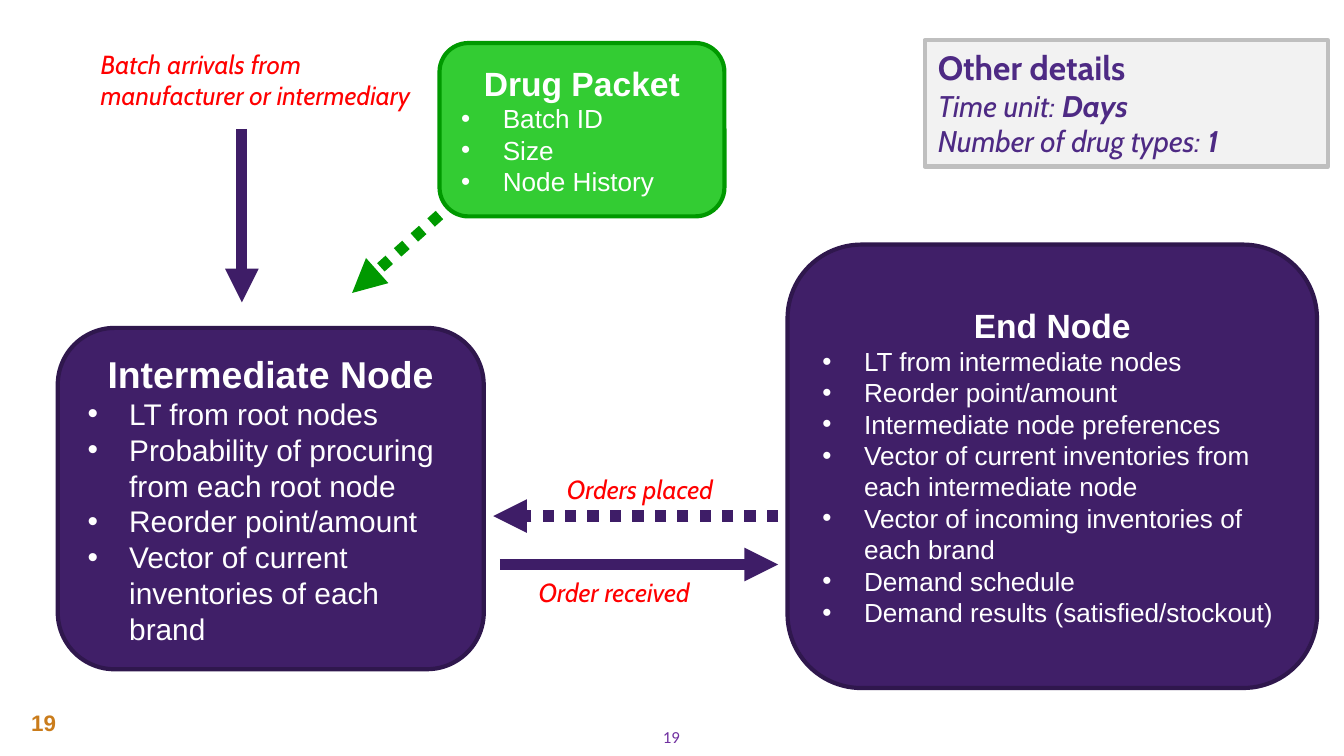
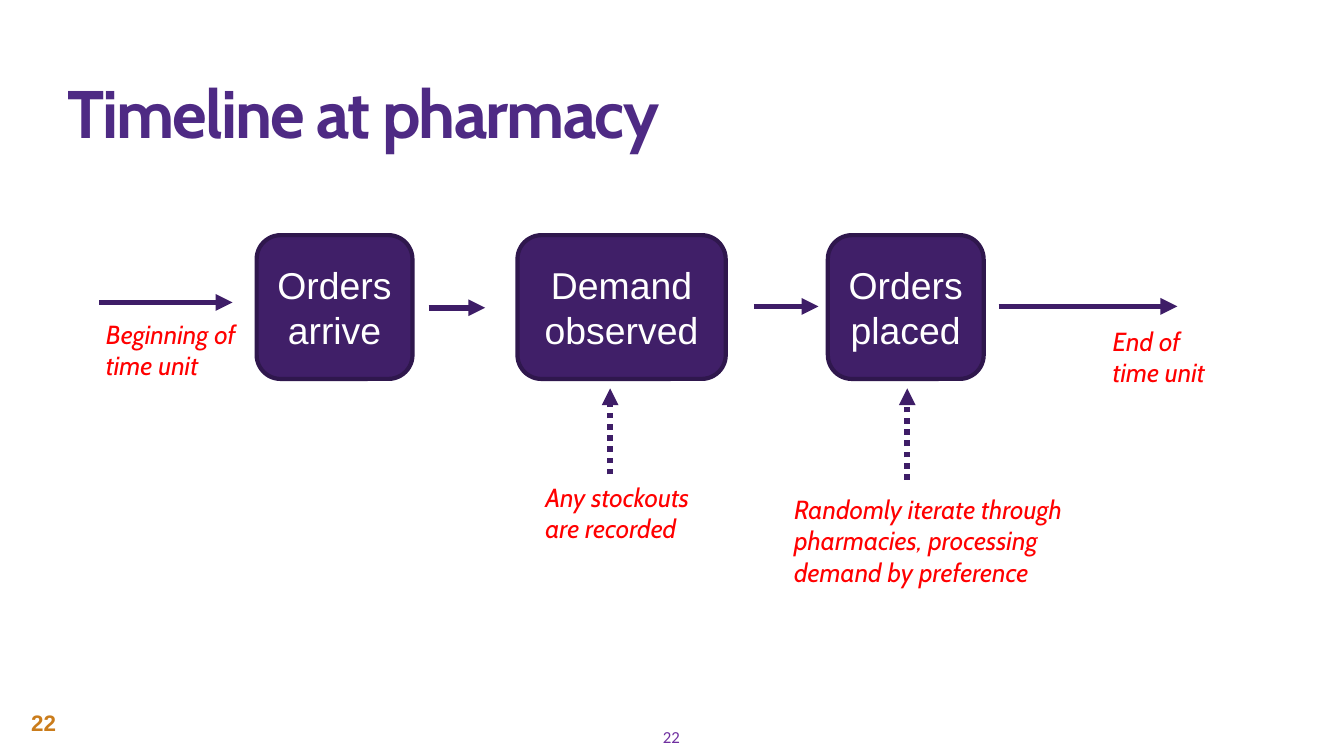
from dataclasses import dataclass

from lxml.etree import SubElement
from pptx import Presentation
from pptx.dml.color import RGBColor
from pptx.enum.dml import MSO_LINE
from pptx.enum.shapes import MSO_CONNECTOR, MSO_SHAPE
from pptx.enum.text import MSO_ANCHOR, PP_ALIGN
from pptx.oxml.ns import qn
from pptx.util import Inches, Pt


@dataclass(frozen=True)
class Theme:
    node: str = "401F68"
    node_border: str = "2F174D"
    arrow: str = "3E1D67"
    packet: str = "33CC33"
    packet_border: str = "009900"
    note: str = "FF0000"
    heading: str = "4E2A84"
    panel: str = "F2F2F2"
    panel_border: str = "BFBFBF"
    footer: str = "7030A0"
    page_badge: str = "CA7C1B"
    white: str = "FFFFFF"
    body_font: str = "Arial"
    accent_font: str = "Cabin"
    footer_font: str = "Calibri"
    title_size: int = 36
    large_size: int = 20
    heading_size: int = 18
    text_size: int = 16
    note_size: int = 14
    badge_size: int = 12
    footer_size: int = 9
    border_width: float = 2.25
    thick_arrow: int = 6
    thin_arrow: int = 3


@dataclass(frozen=True)
class Box:
    left: float
    top: float
    width: float
    height: float

    def inside(self, left, top, width, height):
        return Box(self.left + left, self.top + top, width, height)

    def point(self, horizontal, vertical):
        return Inches(self.left + horizontal), Inches(self.top + vertical)

    def lengths(self):
        return [Inches(value) for value in (self.left, self.top, self.width, self.height)]


THEME = Theme()
SLIDE_BOX = Box(0, 0, 10, 10 * 9 / 16)
NETWORK_BOX = Box(0.4, 0.3, 9.4, 4.82)
DETAILS_BOX = Box(6.88, 0.3, 3, 0.94)
TITLE_BOX = Box(0.5, 0.23, 9.18, 0.9)
TIMELINE_BOX = Box(0.69, 1.75, 8.5, 2.7)


def color(value):
    return RGBColor.from_string(value)


def format_run(run, size, font, ink, bold=False, italic=False):
    run.font.size = Pt(size)
    run.font.name = font
    run.font.color.rgb = color(ink)
    run.font.bold = bold
    run.font.italic = italic


def add_text(slide, box, text, size, font, ink, bold=False, italic=False,
             alignment=PP_ALIGN.LEFT, anchor=MSO_ANCHOR.TOP, insets=(0.1, 0.05, 0.1, 0.05)):
    text_frame = slide.shapes.add_textbox(*box.lengths()).text_frame
    text_frame.word_wrap = True
    text_frame.vertical_anchor = anchor
    (text_frame.margin_left, text_frame.margin_top,
     text_frame.margin_right, text_frame.margin_bottom) = map(Inches, insets)
    text_frame.text = text
    paragraph = text_frame.paragraphs[0]
    paragraph.alignment = alignment
    format_run(paragraph.runs[0], size, font, ink, bold, italic)
    return paragraph


def add_note(slide, box, text):
    add_text(slide, box, text, THEME.note_size, THEME.accent_font, THEME.note, italic=True)


def add_panel(slide, box, preset, fill, border):
    shape = slide.shapes.add_shape(preset, *box.lengths())
    shape.shadow.inherit = False
    shape.fill.solid()
    shape.fill.fore_color.rgb = color(fill)
    shape.line.color.rgb = color(border)
    shape.line.width = Pt(THEME.border_width)
    shape.text_frame.word_wrap = True
    return shape.text_frame


def add_bullet(paragraph):
    properties = paragraph._p.get_or_add_pPr()
    properties.set("marL", str(Inches(0.31)))
    properties.set("indent", str(-Inches(0.31)))
    SubElement(properties, qn("a:buFont")).set("typeface", "Arial")
    SubElement(properties, qn("a:buChar")).set("char", "•")


def add_card(slide, box, heading, items=(), heading_size=THEME.large_size,
             item_size=THEME.note_size, fill=THEME.node, border=THEME.node_border):
    text_frame = add_panel(slide, box, MSO_SHAPE.ROUNDED_RECTANGLE, fill, border)
    text_frame.vertical_anchor = MSO_ANCHOR.MIDDLE
    text_frame.text = "\n".join([heading, *items])
    first, *bullets = text_frame.paragraphs
    first.alignment = PP_ALIGN.CENTER
    format_run(first.runs[0], heading_size, THEME.body_font, THEME.white, bold=bool(items))
    for paragraph in bullets:
        paragraph.alignment = PP_ALIGN.LEFT
        add_bullet(paragraph)
        format_run(paragraph.runs[0], item_size, THEME.body_font, THEME.white)


def add_arrow(slide, box, start, end, width, dotted=False, ink=THEME.arrow):
    connector = slide.shapes.add_connector(
        MSO_CONNECTOR.STRAIGHT, *box.point(*start), *box.point(*end))
    connector.line.color.rgb = color(ink)
    connector.line.width = Pt(width)
    if dotted:
        connector.line.dash_style = MSO_LINE.ROUND_DOT
    SubElement(connector.line._get_or_add_ln(), qn("a:tailEnd")).set("type", "triangle")
    SubElement(connector._element.spPr, qn("a:effectLst"))


def add_page_numbers(slide, box, number):
    centered = {"alignment": PP_ALIGN.CENTER, "anchor": MSO_ANCHOR.MIDDLE}
    add_text(slide, box.inside(4.12, 5.38, 1.75, 0.2), number, THEME.footer_size,
             THEME.footer_font, THEME.footer, **centered)
    add_text(slide, box.inside(0.15, 5.23, 0.37, 0.3), number, THEME.badge_size,
             THEME.body_font, THEME.page_badge, bold=True,
             insets=(0.03, 0.05, 0.05, 0.05), **centered)


def add_title(slide, box, text):
    paragraph = add_text(slide, box, text, THEME.title_size, THEME.accent_font, THEME.heading,
                         bold=True, anchor=MSO_ANCHOR.BOTTOM, insets=(0, 0, 0, 0))
    paragraph.line_spacing = 0.85
    paragraph.runs[0]._r.get_or_add_rPr().set("spc", "-100")


def add_details(slide, box):
    text_frame = add_panel(slide, box, MSO_SHAPE.RECTANGLE, THEME.panel, THEME.panel_border)
    text_frame.vertical_anchor = MSO_ANCHOR.TOP
    text_frame.text = "Other details"
    heading = text_frame.paragraphs[0]
    heading.alignment = PP_ALIGN.LEFT
    format_run(heading.runs[0], THEME.heading_size, THEME.accent_font, THEME.heading, bold=True)
    for label, value in (("Time unit: ", "Days"), ("Number of drug types: ", "1")):
        paragraph = text_frame.add_paragraph()
        paragraph.alignment = PP_ALIGN.LEFT
        for text, bold in ((label, False), (value, True)):
            run = paragraph.add_run()
            run.text = text
            format_run(run, THEME.text_size, THEME.accent_font, THEME.heading, bold, italic=True)


def add_network(slide, box):
    add_card(slide, box.inside(0.03, 2.14, 3.17, 2.54), "Intermediate Node", (
        "LT from root nodes",
        "Probability of procuring from each root node",
        "Reorder point/amount",
        "Vector of current inventories of each brand",
    ), item_size=THEME.text_size)
    add_card(slide, box.inside(5.46, 1.52, 3.94, 3.3), "End Node", (
        "LT from intermediate nodes",
        "Reorder point/amount",
        "Intermediate node preferences",
        "Vector of current inventories from each intermediate node",
        "Vector of incoming inventories of each brand",
        "Demand schedule",
        "Demand results (satisfied/stockout)",
    ), heading_size=THEME.heading_size)
    add_card(slide, box.inside(2.87, 0.02, 2.12, 1.29), "Drug Packet",
             ("Batch ID", "Size", "Node History"), heading_size=THEME.heading_size,
             fill=THEME.packet, border=THEME.packet_border)

    add_arrow(slide, box, (5.39, 3.54), (3.27, 3.54), THEME.thick_arrow, dotted=True)
    add_arrow(slide, box, (3.32, 3.9), (5.39, 3.9), THEME.thick_arrow)
    add_arrow(slide, box, (1.4, 0.66), (1.4, 1.95), THEME.thick_arrow)
    add_arrow(slide, box, (2.87, 1.3), (2.22, 1.88), THEME.thick_arrow,
              dotted=True, ink=THEME.packet_border)

    add_note(slide, box.inside(3.72, 3.17, 1.41, 0.34), "Orders placed")
    add_note(slide, box.inside(3.51, 3.94, 1.41, 0.34), "Order received")
    add_note(slide, box.inside(0.25, 0.01, 2.59, 0.57),
             "Batch arrivals from manufacturer or intermediary")


def add_timeline(slide, box):
    steps = (("Orders arrive", 1.22, 1.16), ("Demand observed", 3.16, 1.55),
             ("Orders placed", 5.47, 1.16))
    for text, left, width in steps:
        add_card(slide, box.inside(left, 0, width, 1.07), text)

    for start, end, height in ((0.05, 1.04, 0.5), (2.5, 2.92, 0.54),
                               (4.92, 5.4, 0.53), (6.74, 8.07, 0.53)):
        add_arrow(slide, box, (start, height), (end, height), THEME.thin_arrow)
    for center, bottom in ((3.85, 1.78), (6.06, 1.82)):
        add_arrow(slide, box, (center, bottom), (center, 1.14), THEME.thin_arrow, dotted=True)

    notes = (("Beginning of time unit", 0, 0.57, 1.25, 0.57),
             ("Any stockouts are recorded", 3.27, 1.78, 1.44, 0.57),
             ("Randomly iterate through pharmacies, processing demand by preference",
              5.12, 1.87, 2.29, 0.81),
             ("End of time unit", 7.49, 0.62, 0.99, 0.57))
    for text, *place in notes:
        add_note(slide, box.inside(*place), text)


def add_slide(presentation, number):
    slide = presentation.slides.add_slide(presentation.slide_layouts[6])
    add_page_numbers(slide, SLIDE_BOX, number)
    return slide


def main():
    presentation = Presentation()
    presentation.slide_width = Inches(SLIDE_BOX.width)
    presentation.slide_height = Inches(SLIDE_BOX.height)

    network_slide = add_slide(presentation, "19")
    add_network(network_slide, NETWORK_BOX)
    add_details(network_slide, DETAILS_BOX)

    timeline_slide = add_slide(presentation, "22")
    add_title(timeline_slide, TITLE_BOX, "Timeline at pharmacy")
    add_timeline(timeline_slide, TIMELINE_BOX)

    presentation.save("out.pptx")


if __name__ == "__main__":
    main()
